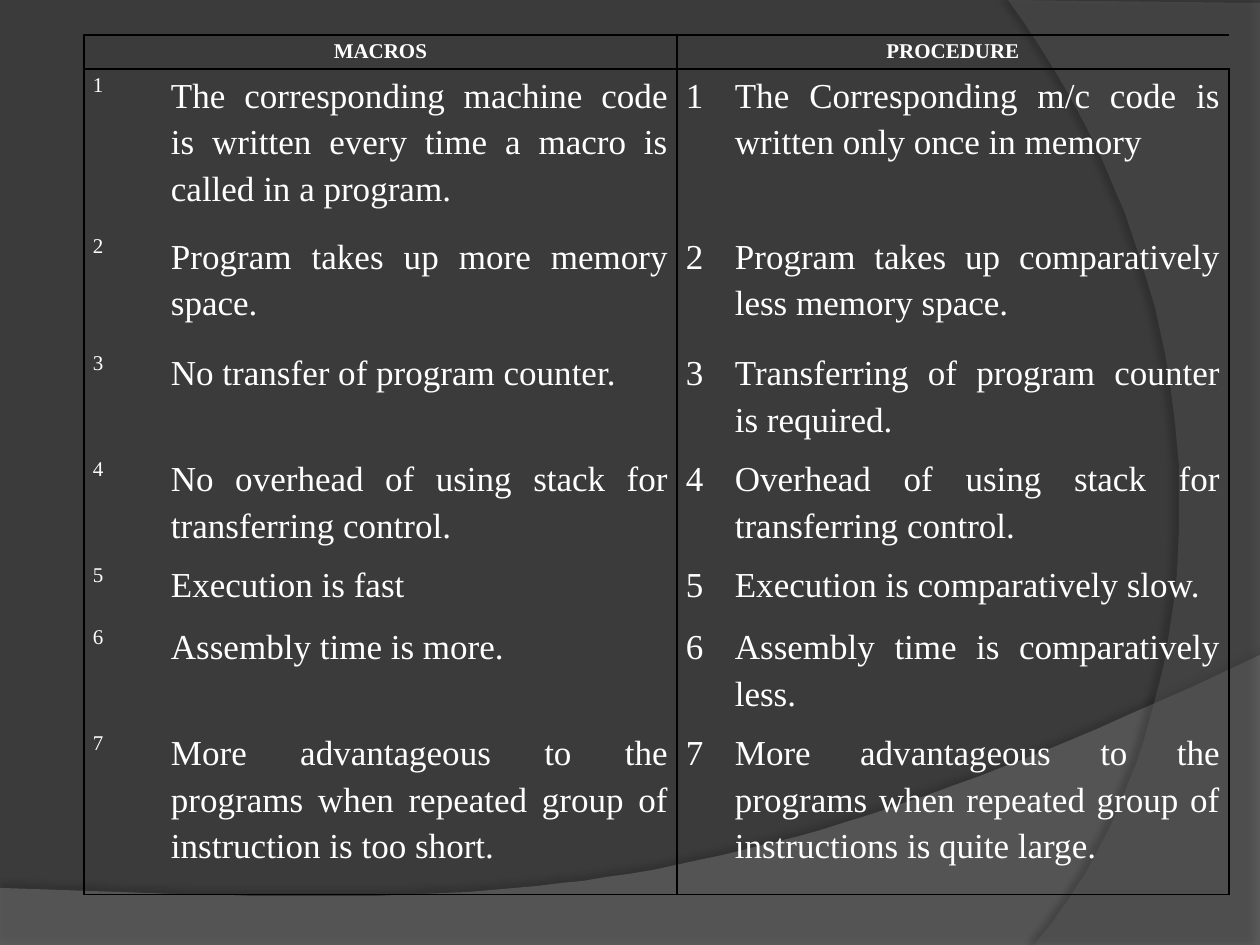
from lxml.etree import SubElement
from pptx import Presentation
from pptx.dml.color import RGBColor
from pptx.enum.text import PP_ALIGN
from pptx.oxml import parse_xml
from pptx.oxml.ns import nsdecls, qn
from pptx.util import Emu, Pt

PX = 914400 / 126  # EMU per px
BACKGROUND = RGBColor(0x3B, 0x3B, 0x3B)
WAVE = RGBColor(0x7F, 0x7F, 0x7F)
ARC = RGBColor(0x5E, 0x5E, 0x5E)
WHITE = RGBColor(0xFF, 0xFF, 0xFF)
BLACK = RGBColor(0, 0, 0)
NO_STYLE = "{2D5ABB26-0587-4C30-8999-92F81FD0307C}"


def px(n):
    return Emu(round(n * PX))


def bezier(p0, p1, p2, p3, steps=48):
    """Points along a cubic curve, without its start."""
    for i in range(1, steps + 1):
        t = i / steps
        u = 1 - t
        yield tuple(u**3 * a + 3 * u * u * t * b + 3 * u * t * t * c + t**3 * d
                    for a, b, c, d in zip(p0, p1, p2, p3))


prs = Presentation()
prs.slide_width, prs.slide_height = px(1260), px(945)
s = prs.slides.add_slide(prs.slide_layouts[6])
s.background.fill.solid()
s.background.fill.fore_color.rgb = BACKGROUND

# Background swooshes: corners, curve, fill, opacity, shadow (opacity, distance, direction)
swooshes = [
    ([(0, 888), (0, 946), (1260, 946), (1260, 655)],
     [(1260, 655), (704, 919), (493, 906), (0, 888)], WAVE, 45, (35, 3.5, 270)),
    ([(1260, 3), (1260, 945), (1034, 945)],
     [(1034, 945), (1178, 780), (1283, 378), (1008, 0)], ARC, 40, (45, 4, 180)),
]
for corners, curve, color, opacity, (shade, dist, angle) in swooshes:
    fb = s.shapes.build_freeform(*corners[0], scale=PX)
    fb.add_line_segments(corners[1:] + list(bezier(*curve)), close=True)
    sp = fb.convert_to_shape()
    sp.line.fill.background()
    sp.fill.solid()
    sp.fill.fore_color.rgb = color
    srgb = sp.fill._xPr.find(".//" + qn("a:srgbClr"))
    SubElement(srgb, qn("a:alpha")).set("val", str(opacity * 1000))
    sp.shadow.inherit = False
    sp._element.spPr.find(qn("a:effectLst")).append(parse_xml(
        f'<a:outerShdw {nsdecls("a")} blurRad="{Pt(4)}" dist="{Pt(dist)}" '
        f'dir="{angle * 60000}" algn="ctr" rotWithShape="0"><a:srgbClr val="{BLACK}">'
        f'<a:alpha val="{shade * 1000}"/></a:srgbClr></a:outerShdw>'))

# Comparison table
pairs = [
    ("The corresponding machine code is written every time a macro is called in a program.",
     "The Corresponding m/c code is written only once in memory"),
    ("Program takes up more memory space.",
     "Program takes up comparatively less memory space."),
    ("No transfer of program counter.",
     "Transferring of program counter is required."),
    ("No overhead of using stack for transferring control.",
     "Overhead of using stack for transferring control."),
    ("Execution is fast", "Execution is comparatively slow."),
    ("Assembly time is more.", "Assembly time is comparatively less."),
    ("More advantageous to the programs when repeated group of instruction is too short.",
     "More advantageous to the programs when repeated group of instructions is quite large."),
]
rows = [("MACROS", "", "PROCEDURE", "")]
rows += [(str(n), macro, str(n), proc) for n, (macro, proc) in enumerate(pairs, 1)]
widths = [78, 515, 49, 503]
heights = [34, 161, 117, 106, 106, 62, 106, 168]

frame = s.shapes.add_table(len(rows), len(widths), px(84), px(35),
                           px(sum(widths)), px(sum(heights)))
table = frame.table
table.first_row = table.horz_banding = False
table._tbl.tblPr.find(qn("a:tableStyleId")).text = NO_STYLE
for col, w in zip(table.columns, widths):
    col.width = px(w)
for row, h in zip(table.rows, heights):
    row.height = px(h)
for c in (0, 2):
    table.cell(0, c).merge(table.cell(0, c + 1))

for r_no, texts in enumerate(rows):
    header = r_no == 0
    for c_no, text in enumerate(texts):
        cell = table.cell(r_no, c_no)
        cell.margin_left = cell.margin_right = px(9)
        cell.margin_top = cell.margin_bottom = 0

        # Borders: frame, header rule and the line between the two halves
        left = c_no % 2 == 0
        edges = {"L": left, "R": not left, "T": r_no < 2,
                 "B": header or r_no == len(rows) - 1}
        tcPr = cell._tc.get_or_add_tcPr()
        for side, shown in edges.items():
            ln = SubElement(tcPr, qn("a:ln" + side), w=str(Pt(1)))
            if shown:
                fill = SubElement(ln, qn("a:solidFill"))
                SubElement(fill, qn("a:srgbClr"), val=str(BLACK))
            else:
                SubElement(ln, qn("a:noFill"))
        cell.fill.background()

        # Text
        if not text:
            continue
        p = cell.text_frame.paragraphs[0]
        p.alignment = PP_ALIGN.CENTER if header else PP_ALIGN.JUSTIFY
        p.line_spacing = 1.2
        p.space_before, p.space_after = Pt(0), Pt(4)
        r = p.add_run()
        r.text = text
        r.font.name = "Times New Roman"
        r.font.size = Pt(12 if header or c_no == 0 else 20)
        r.font.bold = header
        r.font.color.rgb = WHITE

prs.save("out.pptx")
